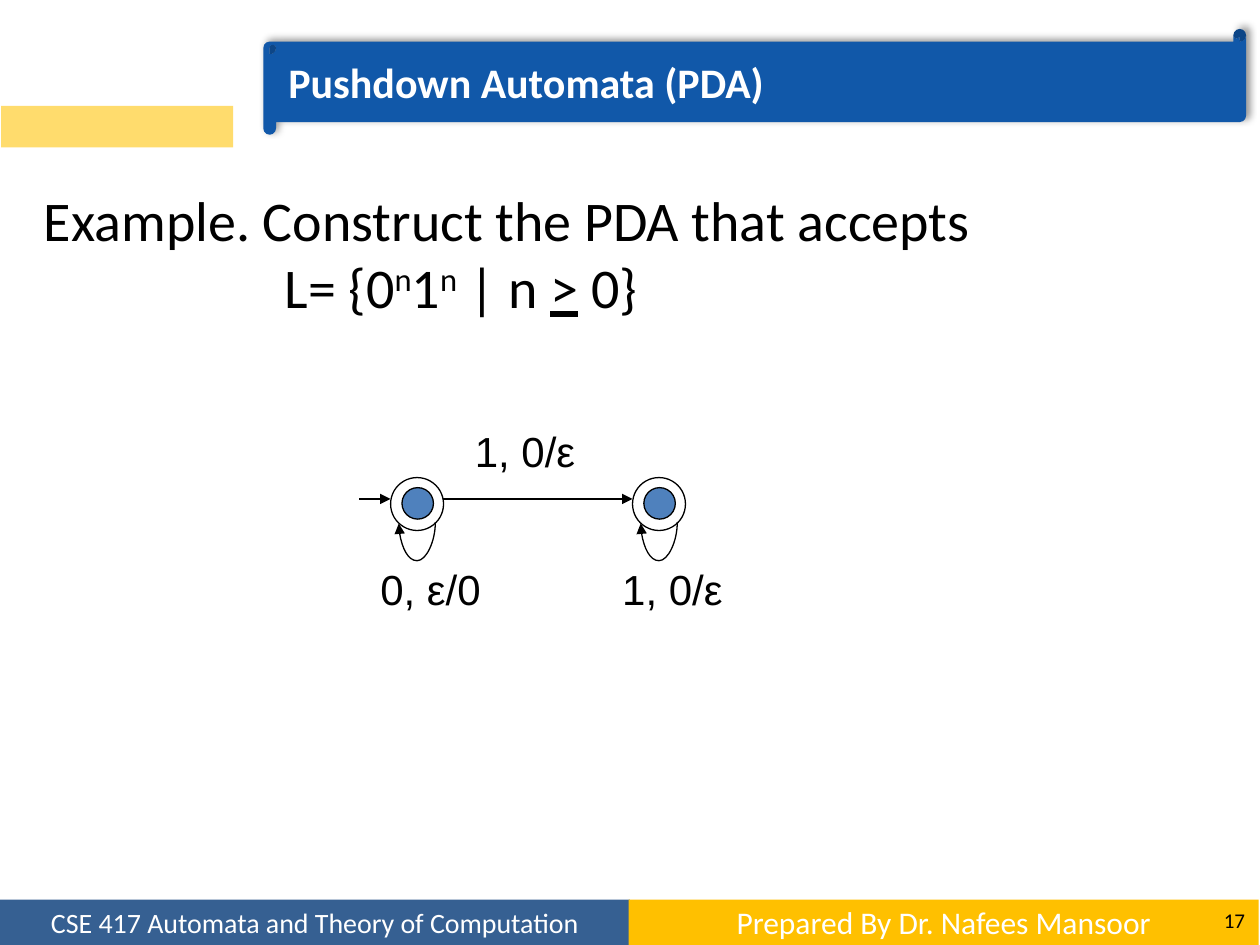
"""Build the slide on pushdown automata with its two-state diagram."""
import pptx
import pptx.dml.color
import pptx.enum.shapes
import pptx.enum.text
import pptx.oxml
import pptx.oxml.ns
import pptx.util

Inches = pptx.util.Inches
Pt = pptx.util.Pt
Kind = pptx.enum.shapes.MSO_SHAPE
Link = pptx.enum.shapes.MSO_CONNECTOR
Align = pptx.enum.text.PP_ALIGN
Anchor = pptx.enum.text.MSO_ANCHOR
NS = pptx.oxml.ns.nsdecls("a")

COLORS = {
    "black": "000000",
    "white": "FFFFFF",
    "navy": "366092",
    "gold": "FFC000",
    "sand": "FFDC6D",
    "state": "4F81BD",
    "title": "1158A9",
}


def color(name):
    """Return the named colour."""
    return pptx.dml.color.RGBColor.from_string(COLORS[name])


def style(font, size, name, tone, bold=False):
    """Set size, face and colour of a font."""
    font.size = Pt(size)
    font.name = name
    font.bold = bold
    font.color.rgb = color(tone)


def write(item, text, size, tone, align=Align.LEFT, face="Calibri", bold=False):
    """Put one line of text into a shape."""
    item.text_frame.text = text
    line = item.text_frame.paragraphs[0]
    line.alignment = align
    style(line.runs[0].font, size, face, tone, bold)


def shape(slide, kind, box, fill=None, edge=None):
    """Add a preset shape with an optional fill and outline."""
    item = slide.shapes.add_shape(kind, *map(Inches, box))
    item.shadow.inherit = False
    if fill:
        item.fill.solid()
        item.fill.fore_color.rgb = color(fill)
    else:
        item.fill.background()
    if edge:
        item.line.color.rgb = color(edge)
        item.line.width = Pt(0.75)
    else:
        item.line.fill.background()
    item.text_frame.word_wrap = True
    item.text_frame.vertical_anchor = Anchor.MIDDLE
    return item


def label(slide, box, text, size=24, face="Arial", align=Align.LEFT):
    """Add a text box with one line."""
    item = slide.shapes.add_textbox(*map(Inches, box))
    write(item, text, size, "black", align, face)
    return item


def arrow(slide, kind, start, end):
    """Add a thin black connector with an arrowhead at its end."""
    item = slide.shapes.add_connector(kind, *map(Inches, start + end))
    item.line.color.rgb = color("black")
    item.line.width = Pt(0.75)
    head = pptx.oxml.parse_xml(f'<a:tailEnd {NS} type="triangle"/>')
    item.line._get_or_add_ln().append(head)
    item._element.spPr.append(pptx.oxml.parse_xml(f"<a:effectLst {NS}/>"))
    return item


def loop(slide, ring, mid):
    """Add a curved arrow that leaves and re-enters a state from below."""
    thick, span, depth = 0.01, 0.29, 0.31
    base = 4.15
    item = arrow(slide, Link.CURVE, (mid + span / 2, base), (mid - span / 2, base))
    item._connect_begin_to(ring, 5)
    item._connect_end_to(ring, 3)
    props = item._element.spPr
    frame = props.xfrm
    for flip in ("flipH", "flipV"):
        frame.attrib.pop(flip, None)
    frame.set("rot", str(90 * 60000))
    item.left, item.top = Inches(mid - thick / 2), Inches(base - span / 2)
    item.width, item.height = Inches(thick), Inches(span)
    geom = props.find(pptx.oxml.ns.qn("a:prstGeom"))
    for old in list(geom):
        geom.remove(old)
    bend = round(depth / thick * 100000)
    geom.append(pptx.oxml.parse_xml(
        f'<a:avLst {NS}><a:gd name="adj1" fmla="val {bend}"/></a:avLst>'))


def state(slide, mid, text):
    """Add an accepting state with its loop and loop label."""
    ring = shape(slide, Kind.OVAL, (mid - 0.21, 3.79, 0.42, 0.42), edge="black")
    loop(slide, ring, mid)
    label(slide, (mid - 0.39, 4.42, 1, 0.5), text)
    shape(slide, Kind.OVAL, (mid - 0.12, 3.87, 0.25, 0.25), "state", "black")


def footer(slide):
    """Add the two footer bars, the page number and the side bar."""
    bars = [
        (0, "navy", "CSE 417 Automata and Theory of Computation", 16),
        (4.99, "gold", "Prepared By Dr. Nafees Mansoor", 18),
    ]
    for left, fill, text, size in bars:
        bar = shape(slide, Kind.RECTANGLE, (left, 7.14, 5, 0.36), fill)
        write(bar, text, size, "white", Align.CENTER)
    page = label(slide, (9.33, 7.1, 0.65, 0.4), "17", 12, "Calibri", Align.RIGHT)
    page.text_frame.word_wrap = True
    page.text_frame.vertical_anchor = Anchor.MIDDLE
    shape(slide, Kind.RECTANGLE, (0.01, 0.84, 1.84, 0.33), "sand")


def task(slide):
    """Add the exercise text with the language definition."""
    box = label(slide, (0.25, 1.42, 9.5, 1.18),
                "Example. Construct the PDA that accepts", 32, "Calibri")
    box.text_frame.word_wrap = True
    line = box.text_frame.add_paragraph()
    line._p.get_or_add_pPr().set("marL", str(Inches(1.91)))
    for text in ("L= {0", "n", "1", "n", " | n ", ">", " 0}"):
        run = line.add_run()
        run.text = text
        style(run.font, 32, "Calibri", "black")
        if text == "n":
            run.font._element.set("baseline", "30000")
        run.font.underline = text == ">"


def title(slide):
    """Add the scroll banner with its soft shadow."""
    item = shape(slide, Kind.HORIZONTAL_SCROLL, (2.09, 0.23, 7.8, 0.84), "title")
    item.adjustments[0] = 0.12
    write(item, "Pushdown Automata (PDA)", 24, "white", bold=True)
    glow = pptx.oxml.parse_xml(
        f'<a:outerShdw {NS} blurRad="{Pt(4)}" dist="{Pt(3)}" dir="{315 * 60000}">'
        f'<a:srgbClr val="{COLORS["black"]}"><a:alpha val="40000"/></a:srgbClr>'
        "</a:outerShdw>")
    item._element.spPr.find(pptx.oxml.ns.qn("a:effectLst")).append(glow)


def main():
    """Build and save the slide."""
    deck = pptx.Presentation()
    deck.slide_width, deck.slide_height = Inches(10), Inches(7.5)
    slide = deck.slides.add_slide(deck.slide_layouts[6])
    footer(slide)
    task(slide)
    for mid, text in ((3.31, "0, ε/0"), (5.23, "1, 0/ε")):
        state(slide, mid, text)
    for left, right in ((2.85, 3.1), (3.52, 5.02)):
        arrow(slide, Link.STRAIGHT, (left, 3.96), (right, 3.96))
    label(slide, (3.67, 3.33, 1.01, 0.5), "1, 0/ε")
    title(slide)
    deck.save("out.pptx")


if __name__ == "__main__":
    main()
